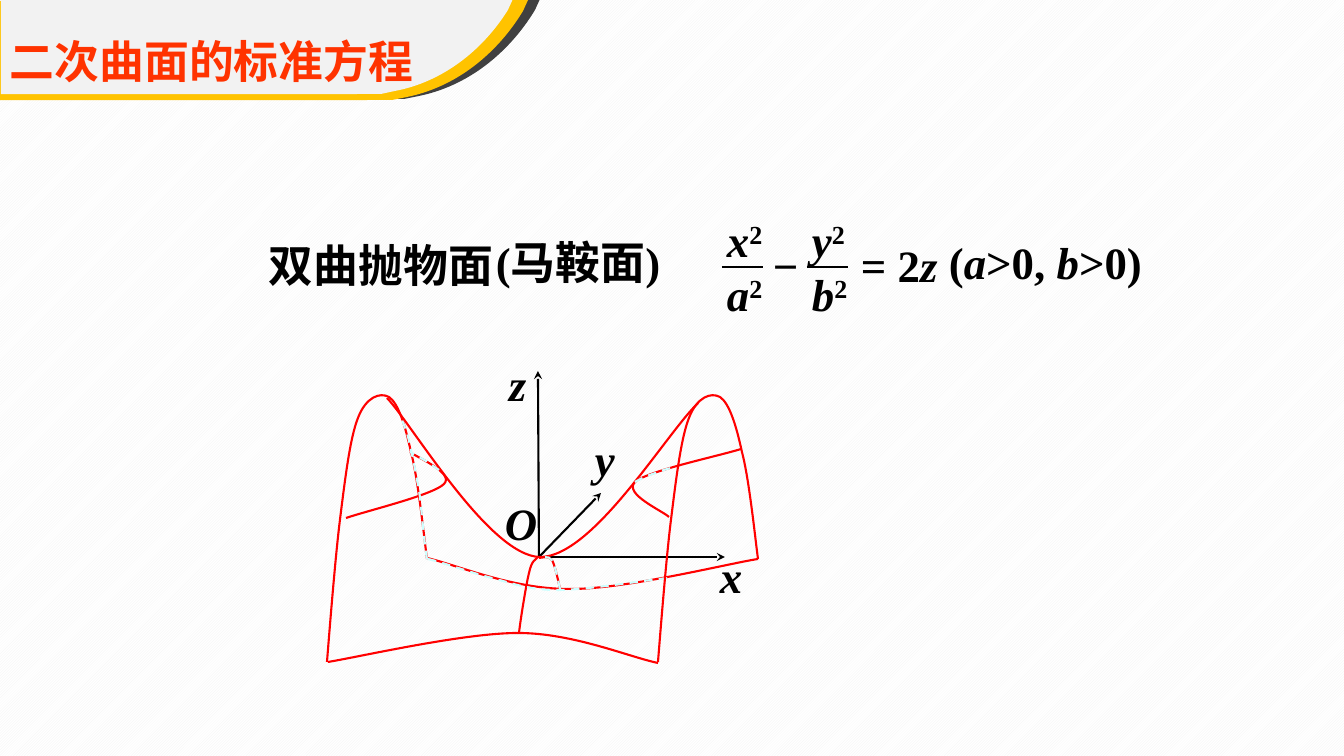
from pptx import Presentation
from pptx.dml.color import RGBColor
from pptx.enum.dml import MSO_LINE, MSO_PATTERN
from pptx.enum.shapes import MSO_CONNECTOR, MSO_SHAPE
from pptx.enum.text import MSO_AUTO_SIZE
from pptx.oxml import parse_xml
from pptx.oxml.ns import nsdecls, qn
from pptx.util import Pt

PX = 914400 / 100.8
WIDE, HIGH = 1344, 756
RECT = MSO_SHAPE.RECTANGLE
STRAIGHT = MSO_CONNECTOR.STRAIGHT
HATCH = MSO_PATTERN.LIGHT_UPWARD_DIAGONAL
DASH = MSO_LINE.DASH
GROW = MSO_AUTO_SIZE.SHAPE_TO_FIT_TEXT
BLACK, RED, ICE = "000000", "FF0000", "CCFFFF"
FONT = {"name": "Times New Roman", "size": Pt(32), "bold": True}


def px(n):
    return round(n * PX)


def rgb(text):
    return RGBColor.from_string(text)


def tag(name, **attrs):
    node = parse_xml(f"<a:{name} {nsdecls('a')}/>")
    for key, value in attrs.items():
        node.set(key, value)
    return node


class Board:
    def __init__(self, slide):
        self.shapes = slide.shapes

    def paper(self):
        box = self.shapes.add_shape(RECT, 0, 0, px(WIDE), px(HIGH))
        box.shadow.inherit = False
        box.line.fill.background()
        box.fill.patterned()
        box.fill.pattern = HATCH
        box.fill.fore_color.rgb = rgb("F2F2F2")
        box.fill.back_color.rgb = rgb("FFFFFF")

    def outline(self, start, steps, close=False):
        """A step of two numbers is a line, a step of six is a curve."""
        points = [s[i:i + 2] for s in steps for i in range(0, len(s), 2)]
        pen = self.shapes.build_freeform(*start, scale=PX)
        pen.add_line_segments(points, close=close)
        shape = pen.convert_to_shape()
        shape.shadow.inherit = False
        route = shape._element.spPr.find(".//" + qn("a:path"))
        lines = iter(route.findall(qn("a:lnTo")))
        for step in steps:
            group = [next(lines) for _ in range(len(step) // 2)]
            if len(group) == 3:
                curve = tag("cubicBezTo")
                group[0].addprevious(curve)
                for line in group:
                    curve.append(line[0])
                    route.remove(line)
        return shape

    def patch(self, start, steps, color):
        shape = self.outline(start, steps, close=True)
        shape.fill.solid()
        shape.fill.fore_color.rgb = rgb(color)
        shape.line.fill.background()

    def curve(self, start, *steps, color=RED, dash=None):
        shape = self.outline(start, steps)
        shape.fill.background()
        look = {"width": Pt(1.5), "dash_style": dash}
        for key, value in look.items():
            setattr(shape.line, key, value)
        shape.line.color.rgb = rgb(color)

    def line(self, x1, y1, x2, y2, arrow=False):
        link = self.shapes.add_connector(STRAIGHT, *map(px, (x1, y1, x2, y2)))
        link.line.width = Pt(1.5)
        link.line.color.rgb = rgb(BLACK)
        link._element.spPr.append(tag("effectLst"))
        if arrow:
            link.line._get_or_add_ln().append(tag("tailEnd", type="stealth"))

    def text(self, x, y, w, h, *rows, color=BLACK, inset=None):
        """Each row lists (words, kind): i is italic, s is superscript."""
        box = self.shapes.add_textbox(*map(px, (x, y, w, h)))
        frame = box.text_frame
        frame.word_wrap = True
        frame.auto_size = GROW
        if inset:
            for side, gap in zip(("left", "top", "right", "bottom"), inset):
                setattr(frame, "margin_" + side, px(gap))
        for i, row in enumerate(rows):
            para = frame.add_paragraph() if i else frame.paragraphs[0]
            for words, kind in row:
                run = para.add_run()
                run.text = words
                for key, value in FONT.items():
                    setattr(run.font, key, value)
                run.font.italic = kind == "i"
                run.font.color.rgb = rgb(color)
                if kind == "s":
                    run._r.get_or_add_rPr().set("baseline", "30000")


def banner(board):
    wedge = [(217, -1), (540, -1), (535, 10), (509, 53, 468, 86, 419, 96),
             (404, 99), (360, 99), (345, 96), (296, 86, 251, 56, 225, 12)]
    slab = [(12, 0), (221, 0), (227, 13), (257, 55, 305, 86, 362, 97),
            (379, 99), (12, 99)]
    layers = [("404040", 1, 1, 0, 0), ("FFC300", 1, 1, -12, 1),
              ("F2F2F2", 0.97, 0.95, -11, 0)]
    for color, kx, ky, dx, dy in layers:
        for part in (wedge, slab):
            moved = [tuple(round(n * ky + dy if i % 2 else n * kx + dx)
                           for i, n in enumerate(step)) for step in part]
            board.patch(moved[0], moved[1:], color)


def wing(board, dx):
    steps = [(329, 638, 335, 560, 340, 520), (345, 480, 350, 438, 358, 418),
             (366, 397, 380, 392, 389, 397), (398, 403, 405, 424, 411, 452),
             (418, 478, 424, 536, 427, 559)]
    board.curve((327 + dx, 662), *[
        tuple(n if i % 2 else n + dx for i, n in enumerate(s)) for s in steps])


def axes(board):
    for name, x, y, w in (("O", 503, 495, 47), ("x", 718, 548, 37),
                          ("y", 593, 431, 34), ("z", 507, 356, 32)):
        board.text(x, y, w, 55, [(name, "i")], inset=(2, 1, 2, 1))
    for x, y in ((538, 371), (601, 493), (725, 557)):
        board.line(539, 557, x, y, arrow=True)


def formula(board):
    for x, top, low in ((717, "x", "a"), (802, "y", "b")):
        board.text(x, 208, 69, 118, [(top, "i"), ("2", "s")],
                   [(low, "i"), ("2", "s")])
        board.line(x + 5, 267, x + 46, 267)
    board.text(763, 233, 56, 64, [("−", "")])
    board.text(851, 233, 97, 64, [("= 2", ""), ("z", "i")])
    board.text(939, 230, 217, 64, [("(", ""), ("a", "i"), (">0, ", ""),
                                   ("b", "i"), (">0)", "")])


def main():
    deck = Presentation()
    deck.slide_width, deck.slide_height = px(WIDE), px(HIGH)
    board = Board(deck.slides.add_slide(deck.slide_layouts[6]))
    board.paper()
    banner(board)

    # Ridge through the origin
    ridge = [(560, 589), (559, 584, 555, 565, 552, 560),
             (548, 555, 542, 558, 539, 558)]
    board.curve((519, 633), (520, 623, 526, 585, 529, 573),
                (532, 559, 536, 560, 538, 557))
    board.curve(*ridge)
    axes(board)

    # Level curves and saddle line
    board.curve((410, 452), (416, 457, 455, 473, 444, 484),
                (433, 495, 366, 511, 346, 518))
    board.curve((669, 517), (663, 511, 623, 494, 635, 482),
                (647, 471, 719, 456, 741, 449))
    board.curve((387, 398), (412, 424, 489, 556, 540, 557),
                (593, 557, 665, 435, 698, 403))

    # Name and equation
    board.text(259, 233, 259, 64, [("双曲抛物面", "")])
    formula(board)
    board.text(486, 230, 197, 64, [("(马鞍面)", "")])

    # Front and back edges
    board.curve((328, 662), (359, 657, 463, 633, 518, 633),
                (573, 633, 629, 657, 658, 663))
    board.curve((758, 559), (726, 564, 623, 590, 568, 589),
                (512, 589, 457, 565, 427, 558))
    wing(board, 0)

    # Hidden parts
    hidden = [
        [(439, 470), (426, 461), (410, 452)],
        [(635, 482), (637, 481, 640, 479, 645, 477),
         (649, 475, 656, 473, 661, 471), (666, 469, 672, 468, 674, 467)],
        [(427, 559), (425, 548, 422, 516, 420, 497),
         (417, 478, 413, 458, 410, 445), (407, 431, 404, 425, 402, 420)],
        ridge,
        [(428, 559), (438, 561, 466, 571, 488, 577),
         (509, 582, 527, 590, 557, 590), (588, 590, 646, 580, 668, 578)],
    ]
    for part in hidden:
        board.curve(*part, color=ICE, dash=DASH)
    wing(board, 331)

    # Title
    board.text(0, 29, 434, 64, [("二次曲面的标准方程", "")], color="FF3300")
    deck.save("out.pptx")


if __name__ == "__main__":
    main()
